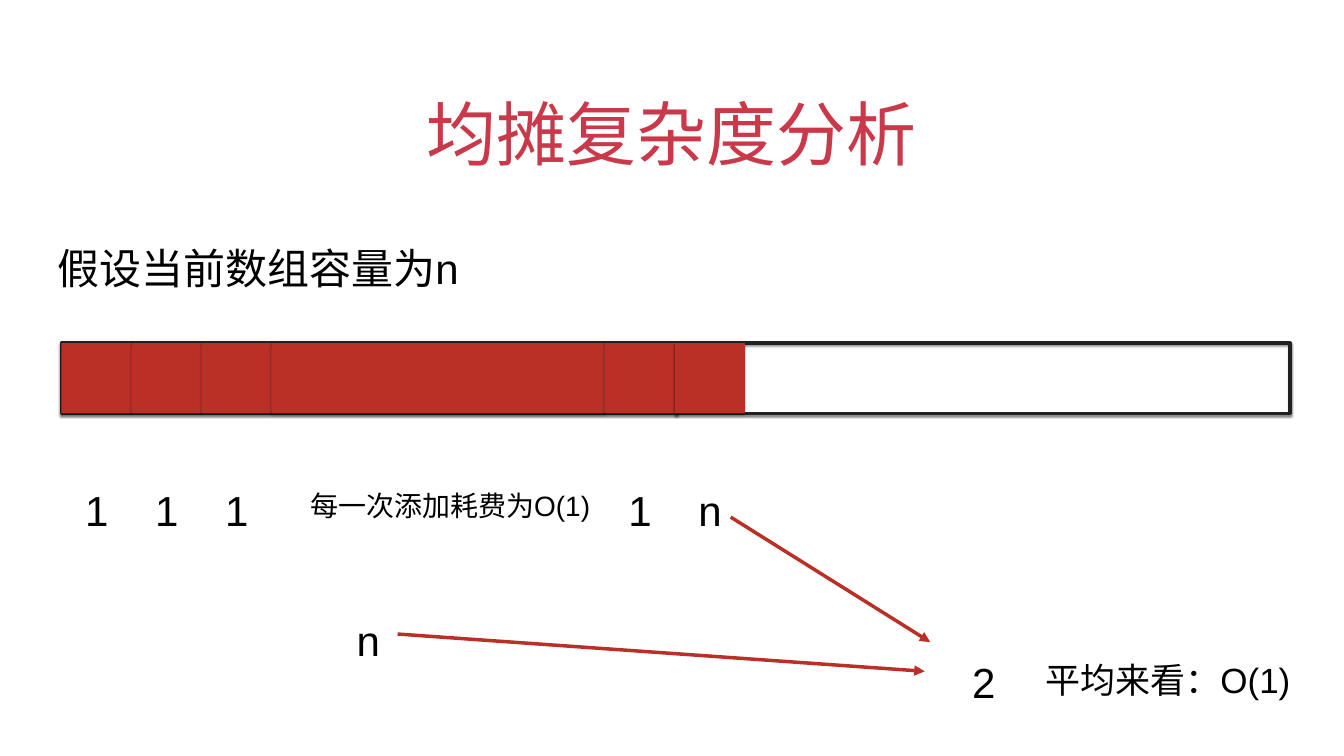
from dataclasses import dataclass
from typing import Optional

import lxml.etree
import pptx
import pptx.dml.color
import pptx.enum.shapes
import pptx.enum.text
import pptx.oxml.ns
import pptx.util

EMU_PER_PX = 9144
INSET = 6
BAR_LEFT, BAR_TOP = 122, 681
CELL = 139
FRAME_WIDTH = 1218
LABEL_WIDTH, LABEL_HEIGHT = 76, 111
LABEL_TOP = 931

Align = pptx.enum.text.PP_ALIGN
Anchor = pptx.enum.text.MSO_ANCHOR


@dataclass(frozen=True)
class Theme:
    font: str = "Arial"
    title: str = "C9394A"
    ink: str = "000000"
    frame: str = "212121"
    accent: str = "BA3027"
    title_size: int = 100
    body_size: int = 60
    result_size: int = 50
    note_size: int = 40
    line_width: int = 5


@dataclass(frozen=True)
class Box:
    left: int
    top: int
    width: int
    height: int


@dataclass(frozen=True)
class Label:
    text: str
    box: Box
    size: int
    align: Align = Align.CENTER


@dataclass(frozen=True)
class Arrow:
    start: tuple[int, int]
    end: tuple[int, int]


@dataclass(frozen=True)
class Cell:
    width: int
    cost: Optional[str]


THEME = Theme()
CELLS = [
    Cell(CELL, "1"),
    Cell(CELL, "1"),
    Cell(CELL, "1"),
    Cell(661, None),
    Cell(CELL, "1"),
    Cell(CELL, "n"),
]


def small_box(left: int, top: int) -> Box:
    return Box(left, top, LABEL_WIDTH, LABEL_HEIGHT)


LABELS = [
    Label("假设当前数组容量为n", Box(108, 442, 1995, 128), THEME.body_size, Align.LEFT),
    Label("每一次添加耗费为O(1)", Box(589, 941, 609, 89), THEME.note_size),
    Label("n", small_box(693, 1189), THEME.body_size),
    Label("2", small_box(1914, 1272), THEME.body_size),
    Label("平均来看：O(1)", Box(2057, 1273, 521, 108), THEME.result_size),
]
ARROWS = [
    Arrow((1450, 1026), (1846, 1274)),
    Arrow((789, 1258), (1835, 1332)),
]


def px(value: int) -> pptx.util.Emu:
    return pptx.util.Emu(value * EMU_PER_PX)


def place(box: Box) -> tuple[pptx.util.Emu, ...]:
    return px(box.left), px(box.top), px(box.width), px(box.height)


def rgb(color: str) -> pptx.dml.color.RGBColor:
    return pptx.dml.color.RGBColor.from_string(color)


def add_child(parent, tag: str, **attributes: str):
    return lxml.etree.SubElement(parent, pptx.oxml.ns.qn(tag), attributes)


def write_text(shape, text: str, size: int, color: str, align: Align, anchor: Anchor) -> None:
    frame = shape.text_frame
    frame.word_wrap = True
    frame.vertical_anchor = anchor
    frame.margin_left = frame.margin_right = px(INSET)
    frame.margin_top = frame.margin_bottom = px(INSET)
    frame.text = text
    paragraph = frame.paragraphs[0]
    paragraph.alignment = align
    paragraph.font.name = THEME.font
    paragraph.font.size = pptx.util.Pt(size)
    paragraph.font.color.rgb = rgb(color)


def add_title(slide, text: str, box: Box) -> None:
    title = slide.shapes.title
    title.left, title.top, title.width, title.height = place(box)
    write_text(title, text, THEME.title_size, THEME.title, Align.CENTER, Anchor.BOTTOM)
    title.text_frame.auto_size = pptx.enum.text.MSO_AUTO_SIZE.NONE


def add_label(slide, label: Label) -> None:
    shape = slide.shapes.add_textbox(*place(label.box))
    write_text(shape, label.text, label.size, THEME.ink, label.align, Anchor.MIDDLE)
    shape.text_frame.auto_size = pptx.enum.text.MSO_AUTO_SIZE.SHAPE_TO_FIT_TEXT
    shape.text_frame.paragraphs[0].line_spacing = 1.5


def add_shadow(shape) -> None:
    shape.shadow.inherit = False
    effects = shape._element.spPr.find(pptx.oxml.ns.qn("a:effectLst"))
    shadow = add_child(effects, "a:outerShdw", blurRad=str(pptx.util.Pt(3)),
                       dist=str(pptx.util.Pt(2)), dir="5400000", rotWithShape="0")
    color = add_child(shadow, "a:srgbClr", val="000000")
    add_child(color, "a:alpha", val="50000")


def add_rectangle(slide, box: Box, fill: Optional[str], line: Optional[str]) -> None:
    shape = slide.shapes.add_shape(pptx.enum.shapes.MSO_SHAPE.RECTANGLE, *place(box))
    if fill:
        shape.fill.solid()
        shape.fill.fore_color.rgb = rgb(fill)
    else:
        shape.fill.background()
    if line:
        shape.line.color.rgb = rgb(line)
        shape.line.width = pptx.util.Pt(THEME.line_width)
    else:
        shape.line.fill.background()
    add_shadow(shape)


def add_array(slide) -> None:
    for left in (BAR_LEFT + FRAME_WIDTH + 2, BAR_LEFT):
        add_rectangle(slide, Box(left, BAR_TOP, FRAME_WIDTH, CELL), None, THEME.frame)
    left = BAR_LEFT
    for cell in CELLS:
        add_rectangle(slide, Box(left, BAR_TOP, cell.width, CELL), THEME.accent, None)
        if cell.cost:
            label_left = left + (cell.width - LABEL_WIDTH + 1) // 2
            add_label(slide, Label(cell.cost, small_box(label_left, LABEL_TOP), THEME.body_size))
        left += cell.width


def add_arrow(slide, arrow: Arrow) -> None:
    connector = slide.shapes.add_connector(
        pptx.enum.shapes.MSO_CONNECTOR.STRAIGHT,
        *(px(value) for value in (*arrow.start, *arrow.end)))
    connector.line.color.rgb = rgb(THEME.accent)
    connector.line.width = pptx.util.Pt(THEME.line_width)
    add_child(connector.line._get_or_add_ln(), "a:tailEnd", type="triangle")
    add_child(connector._element.spPr, "a:effectLst")


def main() -> None:
    presentation = pptx.Presentation()
    presentation.slide_width, presentation.slide_height = px(2667), px(1500)
    slide = presentation.slides.add_slide(presentation.slide_layouts.get_by_name("Title Only"))
    add_title(slide, "均摊复杂度分析", Box(194, 130, 2278, 222))
    add_array(slide)
    for label in LABELS:
        add_label(slide, label)
    for arrow in ARROWS:
        add_arrow(slide, arrow)
    presentation.save("out.pptx")


if __name__ == "__main__":
    main()
